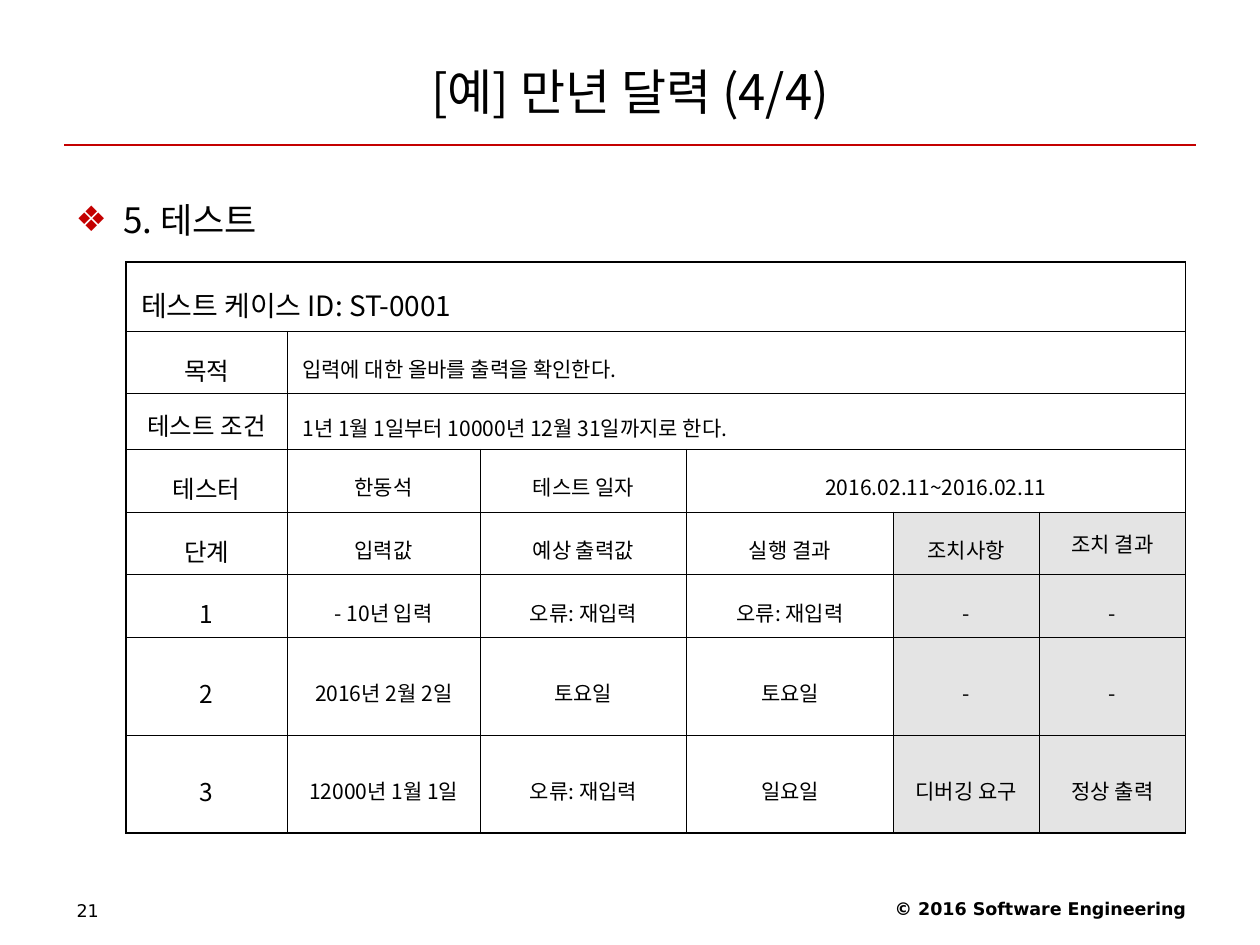
from dataclasses import dataclass

from lxml.etree import SubElement
from pptx import Presentation
from pptx.dml.color import RGBColor
from pptx.enum.shapes import MSO_CONNECTOR
from pptx.enum.text import MSO_ANCHOR, MSO_AUTO_SIZE, PP_ALIGN
from pptx.oxml.ns import qn
from pptx.util import Inches, Pt

KOREAN, LATIN = "Noto Sans CJK KR", "DejaVu Sans"
BLACK, RED, GREY = "000000", "C40000", "E4E4E4"
THIN, THICK = 0.45, 1.08
LEFT, MID, RIGHT = PP_ALIGN.LEFT, PP_ALIGN.CENTER, PP_ALIGN.RIGHT


@dataclass
class Cell:
    text: str
    span: int = 1
    size: int = 12
    align: PP_ALIGN = MID
    lead: float = 1.4
    fill: str = ""


def head(text: str, lead: float = 1.4) -> Cell:
    return Cell(text, size=14, lead=lead)


def step(name: str, given: str, wanted: str, got: str, act: str, end: str,
         lead: float = 1.4) -> list[Cell]:
    return [head(name), Cell(given), Cell(wanted), Cell(got),
            Cell(act, fill=GREY), Cell(end, fill=GREY, lead=lead)]


COLS = [12.8, 15.3, 16.4, 16.4, 11.6, 11.6]
ROWS = [4.9, 4.5, 4, 4.5, 4.5, 4.5, 6.8, 6.8]
TESTS = [
    [Cell("테스트 케이스 ID: ST-0001", 6, 16, LEFT)],
    [head("목적"), Cell("입력에 대한 올바를 출력을 확인한다.", 5, align=LEFT)],
    [head("테스트 조건", 1.2),
     Cell("1년 1월 1일부터 10000년 12월 31일까지로 한다.", 5, align=LEFT)],
    [head("테스터"), Cell("한동석"), Cell("테스트 일자"),
     Cell("2016.02.11~2016.02.11", 3)],
    step("단계", "입력값", "예상 출력값", "실행 결과", "조치사항", "조치 결과", 1),
    step("1", "- 10년 입력", "오류: 재입력", "오류: 재입력", "-", "-"),
    step("2", "2016년 2월 2일", "토요일", "토요일", "-", "-"),
    step("3", "12000년 1월 1일", "오류: 재입력", "일요일", "디버깅 요구", "정상 출력"),
]

deck = Presentation()
deck.slide_width, deck.slide_height = Inches(10), Inches(7.5)
UNIT = deck.slide_width / 100  # the slide is a grid of 100 columns and 75 rows


def grid(*steps: float) -> list[int]:
    return [round(n * UNIT) for n in steps]


def color(code: str) -> RGBColor:
    return RGBColor.from_string(code)


def write(para, text: str, size: int, face: str = KOREAN, align=LEFT,
          lead: float = 1, bold: bool = False) -> None:
    para.text = text
    para.alignment, para.line_spacing, para.space_before = align, lead, Pt(0)
    font = para.font
    font.size, font.name, font.bold = Pt(size), face, bold
    font.color.rgb = color(BLACK)
    base = para._p.pPr.find(qn("a:defRPr"))
    SubElement(base, qn("a:ea"), typeface=face)


def place(shape, left: float, top: float, width: float, height: float):
    shape.left, shape.top, shape.width, shape.height = grid(left, top, width, height)
    shape.text_frame.auto_size = MSO_AUTO_SIZE.NONE
    return shape.text_frame


def bullet(para, mark: str, code: str) -> None:
    props = para._p.get_or_add_pPr()
    props.set("marL", str(Inches(0.38)))
    props.set("indent", str(-Inches(0.38)))
    tint = SubElement(props, qn("a:buClr"))
    SubElement(tint, qn("a:srgbClr"), val=code)
    SubElement(props, qn("a:buChar"), char=mark)


def border(cell, sides: dict[str, float]) -> None:
    props = cell._tc.get_or_add_tcPr()
    for side, width in sides.items():
        line = SubElement(props, qn(f"a:ln{side}"), w=str(Pt(width)))
        fill = SubElement(line, qn("a:solidFill"))
        SubElement(fill, qn("a:srgbClr"), val=BLACK)


def fill_cell(table, row: int, col: int, item: Cell) -> None:
    cell = table.cell(row, col)
    end = col + item.span
    if item.span > 1:
        cell.merge(table.cell(row, end - 1))
    cell.vertical_anchor = MSO_ANCHOR.MIDDLE
    cell.margin_left = cell.margin_right = Inches(0.12)
    cell.margin_top = cell.margin_bottom = Inches(0.05)
    write(cell.text_frame.paragraphs[0], item.text, item.size,
          align=item.align, lead=item.lead)
    edges = {"L": col == 0, "R": end == len(COLS),
             "T": row == 0, "B": row == len(ROWS) - 1}
    border(cell, {side: THICK if outer else THIN for side, outer in edges.items()})
    if item.fill:
        cell.fill.solid()
        cell.fill.fore_color.rgb = color(item.fill)
    else:
        cell.fill.background()


def add_tests(slide) -> None:
    frame = slide.shapes.add_table(len(ROWS), len(COLS),
                                   *grid(10, 20.8, sum(COLS), sum(ROWS)))
    table = frame.table
    table.first_row = table.horz_banding = False
    for col, width in zip(table.columns, grid(*COLS)):
        col.width = width
    for row, height in zip(table.rows, grid(*ROWS)):
        row.height = height
    for row, items in enumerate(TESTS):
        col = 0
        for item in items:
            fill_cell(table, row, col, item)
            col += item.span


def add_note(slide, area: tuple, text: str, **look) -> None:
    frame = place(slide.shapes.add_textbox(0, 0, 0, 0), *area)
    frame.word_wrap = True
    write(frame.paragraphs[0], text, 10, LATIN, **look)


def main() -> None:
    slide = deck.slides.add_slide(deck.slide_layouts[1])
    title, body = slide.placeholders

    rule = slide.shapes.add_connector(MSO_CONNECTOR.STRAIGHT,
                                      *grid(5.1, 11.5, 94.9, 11.5))
    rule.line.color.rgb, rule.line.width = color(RED), Pt(0.75)
    SubElement(rule._element.spPr, qn("a:effectLst"))

    add_note(slide, (63.4, 70.8, 31.7, 2.9), "© 2016 Software Engineering",
             align=RIGHT, bold=True)
    add_note(slide, (5.1, 70.9, 23.3, 2.8), "21")

    frame = place(title, 5, 3, 90, 8.5)
    frame.vertical_anchor = MSO_ANCHOR.MIDDLE
    write(frame.paragraphs[0], "[예] 만년 달력 (4/4)", 28, align=MID)

    topic = place(body, 5, 13.9, 90, 55.1).paragraphs[0]
    bullet(topic, "❖", RED)
    write(topic, "5. 테스트", 20, lead=1.4)

    add_tests(slide)
    deck.save("out.pptx")


if __name__ == "__main__":
    main()
